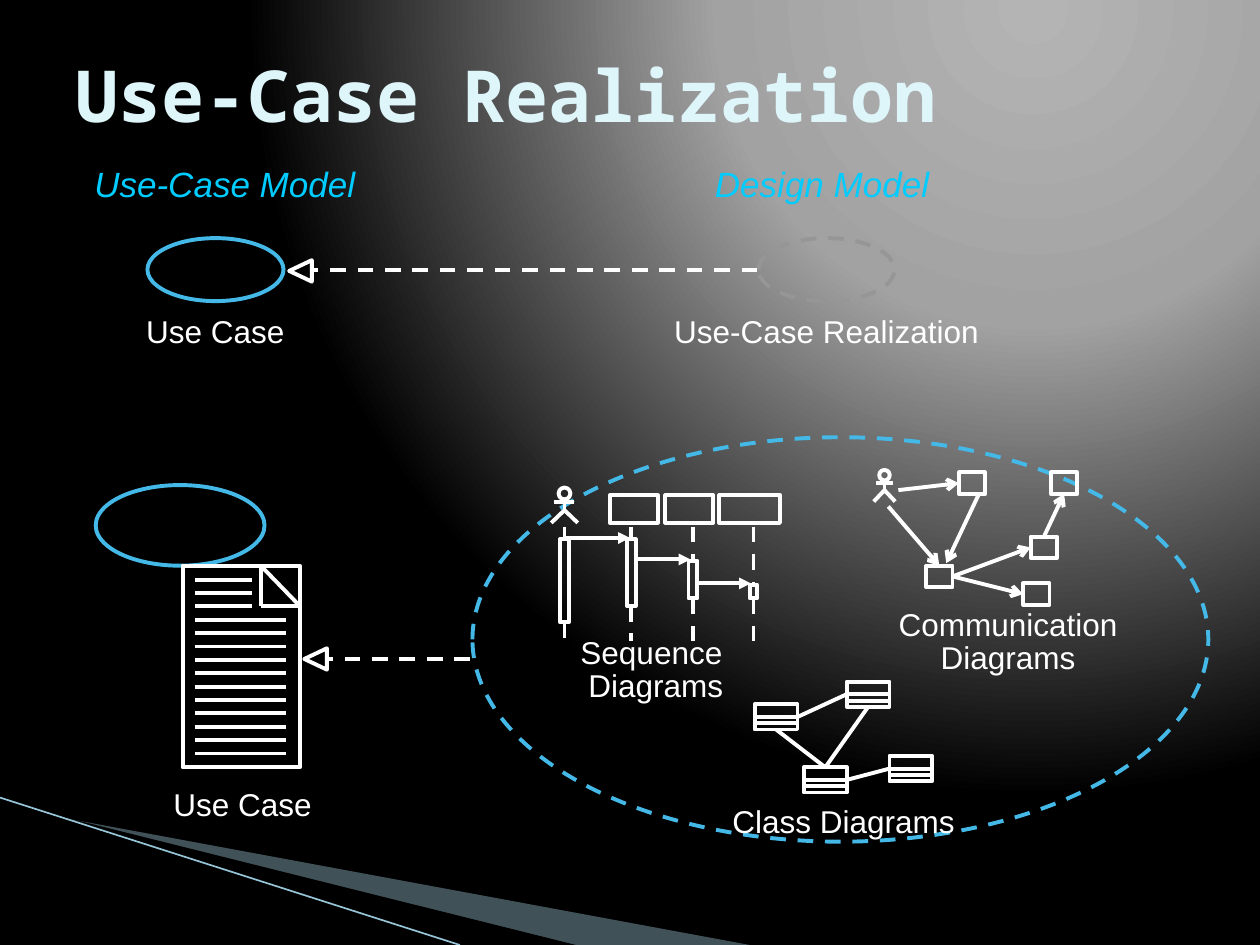
from dataclasses import dataclass
from typing import Optional

import pptx
import pptx.dml.color
import pptx.enum.dml
import pptx.enum.shapes
import pptx.enum.text
import pptx.oxml
import pptx.oxml.ns
import pptx.util

Inches, Pt = pptx.util.Inches, pptx.util.Pt
RGB = pptx.dml.color.RGBColor.from_string
qn = pptx.oxml.ns.qn
SHAPE = pptx.enum.shapes.MSO_SHAPE
ALIGN = pptx.enum.text.PP_ALIGN
TOP, LEFT, BOTTOM, RIGHT = range(4)


@dataclass(frozen=True)
class Theme:
    white: str = "FFFFFF"
    black: str = "000000"
    blue: str = "44B9E8"
    cyan: str = "00CCFF"
    gray: str = "969696"
    title: str = "DEF5FA"
    wedge: str = "A0CBDC"
    edge: str = "97C5D8"
    title_font: str = "Noto Sans Mono"
    body_font: str = "Arial"
    title_size: float = 41
    head_size: float = 20
    label_size: float = 18
    stroke: float = 2.25


@dataclass(frozen=True)
class Label:
    lines: tuple
    box: tuple
    size: float
    color: str
    wrap: bool = True
    align: int = ALIGN.CENTER
    spacing: Optional[float] = None
    italic: bool = False
    bold: bool = False
    font: str = "Arial"


@dataclass(frozen=True)
class Bar:
    x: float
    top: float
    height: float
    width: float = 0.07


T = Theme()


def style_line(s, color: str, dashed: bool = False, width: float = T.stroke):
    s.line.color.rgb = RGB(color)
    s.line.width = Pt(width)
    if dashed:
        s.line.dash_style = pptx.enum.dml.MSO_LINE.DASH


def outline(shapes, kind, x: float, y: float, w: float, h: float,
            color: str = T.white, dashed: bool = False):
    s = shapes.add_shape(kind, Inches(x), Inches(y), Inches(w), Inches(h))
    s.shadow.inherit = False
    s.fill.background()
    style_line(s, color, dashed)
    return s


def line(shapes, x1: float, y1: float, x2: float, y2: float, head: str = "",
         dashed: bool = False, color: str = T.white, width: float = T.stroke,
         begin=None, end=None):
    c = shapes.add_connector(pptx.enum.shapes.MSO_CONNECTOR.STRAIGHT,
                             Inches(x1), Inches(y1), Inches(x2), Inches(y2))
    style_line(c, color, dashed, width)
    sp_pr = c._element.spPr
    if head:
        pptx.oxml.ns  # namespace map used by qn
        sp_pr.find(qn("a:ln")).makeelement
        tail = sp_pr.makeelement(qn("a:tailEnd"), {"type": head})
        sp_pr.find(qn("a:ln")).append(tail)
    sp_pr.append(sp_pr.makeelement(qn("a:effectLst"), {}))
    if begin:
        c.begin_connect(*begin)
    if end:
        c.end_connect(*end)
    return c


def polygon(shapes, points: list, close: bool = True):
    pts = [(Inches(x), Inches(y)) for x, y in points]
    fb = shapes.build_freeform(*pts[0])
    fb.add_line_segments(pts[1:], close=close)
    s = fb.convert_to_shape()
    s.shadow.inherit = False
    return s


def wedge(shapes, points: list, color: str):
    s = polygon(shapes, points)
    s.fill.solid()
    s.fill.fore_color.rgb = RGB(color)
    s.line.fill.background()
    return s


def text(shapes, label: Label):
    tf = shapes.add_textbox(*map(Inches, label.box)).text_frame
    tf.word_wrap = label.wrap
    tf.vertical_anchor = (pptx.enum.text.MSO_ANCHOR.MIDDLE if label.bold
                          else pptx.enum.text.MSO_ANCHOR.TOP)
    p = tf.paragraphs[0]
    p.alignment = label.align
    if label.spacing:
        p.line_spacing = Pt(label.spacing)
    for i, words in enumerate(label.lines):
        if i:
            p.add_line_break()
        r = p.add_run()
        r.text = words
        r.font.name, r.font.size = label.font, Pt(label.size)
        r.font.bold, r.font.italic = label.bold, label.italic
        r.font.color.rgb = RGB(label.color)


def actor(shapes, x: float, top: float, w: float, h: float):
    head, hip, arm = h / 3, top + 0.64 * h, top + 0.4 * h
    outline(shapes, SHAPE.OVAL, x - head / 2, top, head, head)
    line(shapes, x, top + head, x, hip)
    line(shapes, x - 0.38 * w, arm, x + 0.38 * w, arm)
    legs = polygon(shapes, [(x - w / 2, top + h), (x, hip), (x + w / 2, top + h)], False)
    legs.fill.background()
    style_line(legs, T.white)


def class_box(shapes, x: float, y: float):
    w, h = 0.34, 0.2
    s = outline(shapes, SHAPE.RECTANGLE, x, y, w, h)
    for dy in (0.1, 0.15):
        line(shapes, x, y + dy, x + w, y + dy)
    return s


def background(slide):
    fill = slide.background.fill
    fill.gradient()
    grad = slide.background._cSld.find(".//" + qn("a:gradFill"))
    for child in list(grad):
        grad.remove(child)
    ns = 'xmlns:a="http://schemas.openxmlformats.org/drawingml/2006/main"'
    stops = "".join(f'<a:gs pos="{pos}000"><a:srgbClr val="{c}"/></a:gs>'
                    for pos, c in ((0, "B4B4B4"), (40, "A2A2A2"), (100, T.black)))
    grad.append(pptx.oxml.parse_xml(f"<a:gsLst {ns}>{stops}</a:gsLst>"))
    grad.append(pptx.oxml.parse_xml(
        f'<a:path {ns} path="circle"><a:fillToRect l="65000" t="0" r="0" b="98000"/></a:path>'))


def document(shapes):
    outline(shapes, SHAPE.RECTANGLE, 1.45, 4.49, 0.93, 1.6)
    corner = [(2.07, 4.49), (2.38, 4.81), (2.07, 4.81)]
    for a, b in zip(corner, corner[1:] + corner[:1]):
        line(shapes, *a, *b)
    for i in range(14):
        y = 4.6 + i * 1.38 / 13
        line(shapes, 1.55, y, 2 if i < 3 else 2.27, y)


def class_diagram(shapes):
    a, b, c, d = [class_box(shapes, x, y) for x, y in
                  ((5.99, 5.59), (6.72, 5.41), (6.38, 6.09), (7.06, 6))]
    for begin, end in (((c, TOP), (a, BOTTOM)), ((a, RIGHT), (b, LEFT)),
                       ((c, RIGHT), (d, LEFT)), ((c, TOP), (b, BOTTOM))):
        line(shapes, 6, 5.6, 7, 6, begin=begin, end=end)


def communication_diagram(shapes):
    actor(shapes, 7.02, 3.73, 0.17, 0.25)
    first, hub, low, mid, last = [
        outline(shapes, SHAPE.RECTANGLE, x, y, 0.21, 0.17) for x, y in
        ((7.61, 3.75), (7.35, 4.49), (8.12, 4.63), (8.18, 4.26), (8.34, 3.75))]
    line(shapes, 7.05, 4.02, 7.44, 4.47, "arrow", end=(hub, TOP))
    line(shapes, 7.13, 3.89, 7.62, 3.83, "arrow", end=(first, LEFT))
    line(shapes, 7.77, 3.92, 7.51, 4.47, "arrow")
    for begin, end in (((hub, RIGHT), (low, LEFT)), ((hub, RIGHT), (mid, LEFT)),
                       ((mid, TOP), (last, BOTTOM))):
        line(shapes, 7.56, 4.5, 8.1, 4.4, "arrow", begin=begin, end=end)


def sequence_diagram(shapes):
    actor(shapes, 4.48, 3.87, 0.21, 0.28)
    for x, w in ((4.84, 0.38), (5.28, 0.38), (5.71, 0.48)):
        outline(shapes, SHAPE.RECTANGLE, x, 3.93, w, 0.22)
    for bar in (Bar(4.48, 4.28, 0.66), Bar(5.01, 4.28, 0.53),
                Bar(5.5, 4.45, 0.3), Bar(5.98, 4.64, 0.11, 0.06)):
        s = outline(shapes, SHAPE.RECTANGLE, bar.x - bar.width / 2, bar.top,
                    bar.width, bar.height)
        line(shapes, bar.x, 4.18, bar.x, bar.top, dashed=True, end=(s, TOP))
        line(shapes, bar.x, bar.top + bar.height, bar.x, 5.09, dashed=True,
             begin=(s, BOTTOM))
    for x1, x2, y in ((4.47, 5, 4.27), (5.04, 5.48, 4.44), (5.55, 5.96, 4.63)):
        line(shapes, x1, y, x2, y, "triangle")


def main():
    prs = pptx.Presentation()
    prs.slide_width, prs.slide_height = Inches(10), Inches(7.5)
    slide = prs.slides.add_slide(prs.slide_layouts[6])
    shapes = slide.shapes

    # Backdrop
    background(slide)
    s = wedge(shapes, [(0.55, 6.5), (5.95, 7.5), (4.56, 7.5)], T.wedge)
    clr = s._element.spPr.find(".//" + qn("a:srgbClr"))
    clr.append(clr.makeelement(qn("a:alpha"), {"val": "40000"}))
    wedge(shapes, [(0.53, 6.49), (4.57, 7.5), (3.72, 7.5)], T.black)
    line(shapes, 0, 6.33, 3.65, 7.5, color=T.edge, width=0.95)

    # Use cases and their realizations
    for box, color, dashed in (((3.75, 3.47, 5.84, 3.21), T.blue, True),
                               ((0.76, 3.85, 1.34, 0.64), T.blue, False),
                               ((1.17, 1.89, 1.08, 0.5), T.blue, False),
                               ((6.02, 1.89, 1.08, 0.5), T.gray, True)):
        outline(shapes, SHAPE.OVAL, *box, color, dashed)

    # Detailed diagrams, one group each
    for draw in (class_diagram, document, communication_diagram, sequence_diagram):
        draw(shapes.add_group_shape().shapes)

    # Realization arrows
    for x1, x2, y, tip_x, tip_y in ((6.01, 2.49, 2.14, 2.3, 2.06),
                                    (3.73, 2.59, 5.23, 2.42, 5.14)):
        line(shapes, x1, y, x2, y, dashed=True)
        tip = outline(shapes, SHAPE.ISOSCELES_TRIANGLE, tip_x, tip_y, 0.17, 0.18)
        tip.rotation = 270

    # Title, headings and labels
    text(shapes, Label(("Use-Case Realization",), (0.5, 0.12, 9, 1.25), T.title_size,
                       T.title, align=ALIGN.LEFT, bold=True, font=T.title_font))
    for words, box, align in (("Use-Case Model", (0.65, 1.24, 2.3, 0.43), ALIGN.LEFT),
                              ("Design Model", (5.5, 1.24, 2.05, 0.43), ALIGN.CENTER)):
        text(shapes, Label((words,), box, T.head_size, T.cyan, align=align, italic=True))
    for lines, box, wrap, spacing in (
            (("Use Case",), (1.06, 2.43, 1.3, 0.4), False, None),
            (("Use-Case Realization",), (5.25, 2.43, 2.62, 0.4), False, None),
            (("Use Case",), (1.08, 6.18, 1.69, 0.4), True, None),
            (("Class Diagrams",), (5.71, 6.32, 1.97, 0.4), False, None),
            (("Communication Diagrams",), (6.59, 4.79, 2.82, 0.63), True, 19),
            (("Sequence ", "Diagrams"), (4.44, 5.01, 1.53, 0.63), True, 19)):
        text(shapes, Label(lines, box, T.label_size, T.white, wrap, spacing=spacing))

    prs.save("out.pptx")


if __name__ == "__main__":
    main()
